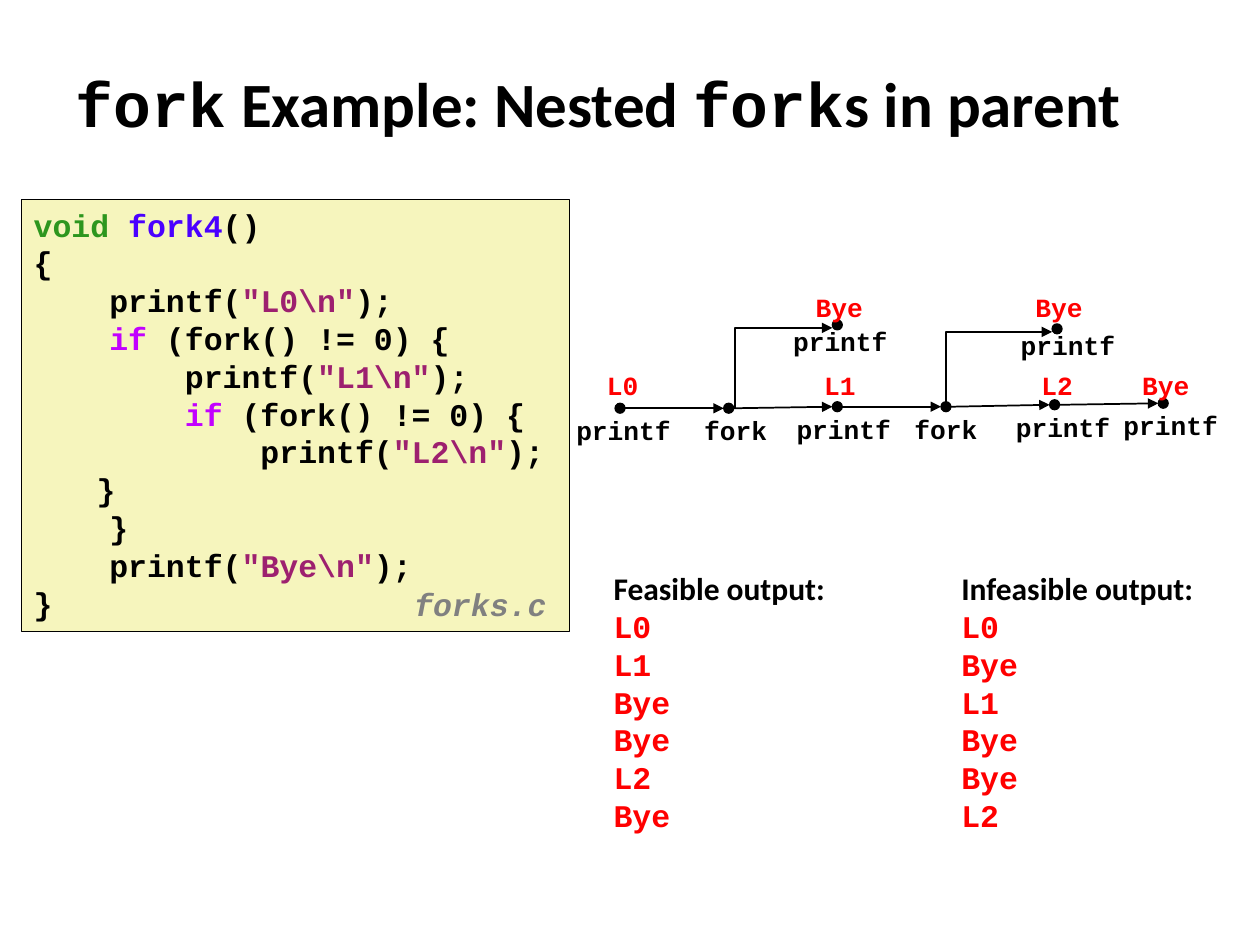
from itertools import pairwise

from lxml.etree import SubElement
from pptx import Presentation
from pptx.dml.color import RGBColor
from pptx.enum.shapes import MSO_CONNECTOR, MSO_SHAPE
from pptx.enum.text import MSO_ANCHOR, MSO_AUTO_SIZE, PP_ALIGN
from pptx.oxml.ns import qn
from pptx.util import Cm, Pt

BLACK, RED, GRAY, CREAM = "000000", "FF0000", "808080", "F6F5BD"
TYPE, NAME, STRING, KEYWORD = "2D961E", "4A00FF", "9D206F", "C200FF"
CODE_FONT, TEXT_FONT = "Courier New", "Calibri"


def color(value):
    return RGBColor.from_string(value)


def add_span(para, text, font=CODE_FONT, size=18, fill=BLACK, italic=False):
    span = para.add_run()
    span.text = text
    span.font.name = font
    span.font.size = Pt(size)
    span.font.bold = True
    span.font.italic = italic
    span.font.color.rgb = color(fill)


class SlideBuilder:
    dot_size = 0.2
    label_size = 15

    def __init__(self, page):
        self.page = page

    def title(self, spans, left, top, width, height):
        box = self.page.shapes.title
        box.left, box.top, box.width, box.height = map(Cm, (left, top, width, height))
        frame = box.text_frame
        frame.auto_size = MSO_AUTO_SIZE.NONE
        frame.vertical_anchor = MSO_ANCHOR.MIDDLE
        para = frame.paragraphs[0]
        para.alignment = PP_ALIGN.LEFT
        for text, font in spans:
            add_span(para, text, font=font, size=36)

    def fill_text(self, box, lines, align=PP_ALIGN.LEFT, spacing=None):
        """Each line is a list of (text, format) pairs."""
        frame = box.text_frame
        frame.word_wrap = False
        frame.auto_size = MSO_AUTO_SIZE.SHAPE_TO_FIT_TEXT
        frame.vertical_anchor = MSO_ANCHOR.TOP
        for index, line in enumerate(lines):
            para = frame.add_paragraph() if index else frame.paragraphs[0]
            para.alignment = align
            if spacing:
                para.line_spacing = spacing
            for text, style in line:
                add_span(para, text, **style)

    def text(self, lines, left, top, width, height, **layout):
        box = self.page.shapes.add_textbox(*map(Cm, (left, top, width, height)))
        self.fill_text(box, lines, **layout)

    def label(self, text, center, top, fill=BLACK):
        width = 2.45
        style = {"size": self.label_size, "fill": fill}
        self.text([[(text, style)]], center - width / 2, top, width, 0.89,
                  align=PP_ALIGN.CENTER)

    def shape(self, kind, left, top, width, height, fill, line_width):
        box = self.page.shapes.add_shape(kind, *map(Cm, (left, top, width, height)))
        box.shadow.inherit = False
        box.fill.solid()
        box.fill.fore_color.rgb = color(fill)
        box.line.color.rgb = color(BLACK)
        box.line.width = Pt(line_width)
        return box

    def code(self, lines, left, top, width, height):
        box = self.shape(MSO_SHAPE.RECTANGLE, left, top, width, height, CREAM, 0.25)
        self.fill_text(box, lines)

    def dot(self, x, y):
        size = self.dot_size
        self.shape(MSO_SHAPE.OVAL, x - size / 2, y - size / 2, size, size, BLACK, 0.75)

    def arrow(self, x1, y1, x2, y2, kind=MSO_CONNECTOR.STRAIGHT):
        arrow = self.page.shapes.add_connector(kind, *map(Cm, (x1, y1, x2, y2)))
        arrow.line.color.rgb = color(BLACK)
        arrow.line.width = Pt(1)
        SubElement(arrow.line._get_or_add_ln(), qn("a:tailEnd"), type="triangle")
        SubElement(arrow._element.spPr, qn("a:effectLst"))
        return arrow

    def branch(self, x1, y1, x2, y2):
        """Arrow that goes up, then right: a single bend turned by 270 degrees."""
        middle_x, middle_y = (x1 + x2) / 2, (y1 + y2) / 2
        half_run, half_rise = (x2 - x1) / 2, (y1 - y2) / 2
        arrow = self.arrow(middle_x - half_rise, middle_y - half_run,
                           middle_x + half_rise, middle_y + half_run,
                           MSO_CONNECTOR.ELBOW)
        properties = arrow._element.spPr
        properties.find(qn("a:xfrm")).set("rot", str(270 * 60000))
        properties.find(qn("a:prstGeom")).set("prst", "bentConnector2")


def plain(text):
    return text, {}


def string(text):
    return text, {"fill": STRING}


def print_line(indent, text):
    return [plain(" " * indent + "printf("), string(f'"{text}\\n"'), plain(");")]


def if_line(indent):
    return [plain(" " * indent), ("if", {"fill": KEYWORD}), plain(" (fork() != 0) {")]


def main():
    deck = Presentation()
    deck.slide_width, deck.slide_height = Cm(25.4), Cm(19.05)
    slide = SlideBuilder(deck.slides.add_slide(deck.slide_layouts[5]))

    slide.title([("fork", CODE_FONT), (" Example: Nested ", TEXT_FONT),
                 ("fork", CODE_FONT), ("s in parent", TEXT_FONT)],
                1.27, 1.27, 22.3, 1.6)

    # Program listing
    slide.code([
        [("void ", {"fill": TYPE}), ("fork4", {"fill": NAME}), plain("()")],
        [plain("{")],
        print_line(4, "L0"),
        if_line(4),
        print_line(8, "L1"),
        if_line(8),
        print_line(12, "L2"),
        [plain("\t}")],
        [plain("    }")],
        print_line(4, "Bye"),
        [plain("}")],
    ], 0.43, 4.02, 11.05, 8.71)
    slide.text([[("forks.c", {"fill": GRAY, "italic": True})]],
               8.1, 11.73, 3.35, 0.99, spacing=0.94)

    # Parent process: call, height of its dot, label shift, printed text
    parent = [("printf", 8.23, 0.07, "L0"), ("fork", 8.23, 0.14, None),
              ("printf", 8.2, 0.13, "L1"), ("fork", 8.2, 0, None),
              ("printf", 8.16, 0.17, "L2"), ("printf", 8.13, 0.15, "Bye")]
    dots = [(12.5 + 2.19 * step, y) for step, (_, y, _, _) in enumerate(parent)]
    for (x1, y1), (x2, y2) in pairwise(dots):
        slide.arrow(x1 + 0.1, y1, x2 - 0.1, y2)
    for (x, y), (call, _, shift, output) in zip(dots, parent):
        slide.dot(x, y)
        slide.label(call, x + shift, y)
        if output:
            slide.label(output, x + 0.05, 7.32, RED)

    # Child processes: fork index, branch start shift, dot place, label shift
    for fork, start, x, y, shift in [(1, 0.13, 16.88, 6.55, 0.06),
                                     (3, 0, 21.31, 6.63, 0.22)]:
        fork_x, fork_y = dots[fork]
        slide.branch(fork_x + start, fork_y, x - 0.1, y + 0.06)
        slide.dot(x, y)
        slide.label("printf", x + shift, y - 0.11)
        slide.label("Bye", x + 0.04, 5.74, RED)

    # Possible and impossible outputs
    for heading, outputs, left, width in [
            ("Feasible output:", "L0 L1 Bye Bye L2 Bye", 12.12, 4.83),
            ("Infeasible output:", "L0 Bye L1 Bye Bye L2", 19.13, 5.26)]:
        lines = [[(heading, {"font": TEXT_FONT})]]
        lines += [[(output, {"fill": RED})] for output in outputs.split()]
        slide.text(lines, left, 11.35, width, 5.64)

    deck.save("out.pptx")


if __name__ == "__main__":
    main()
